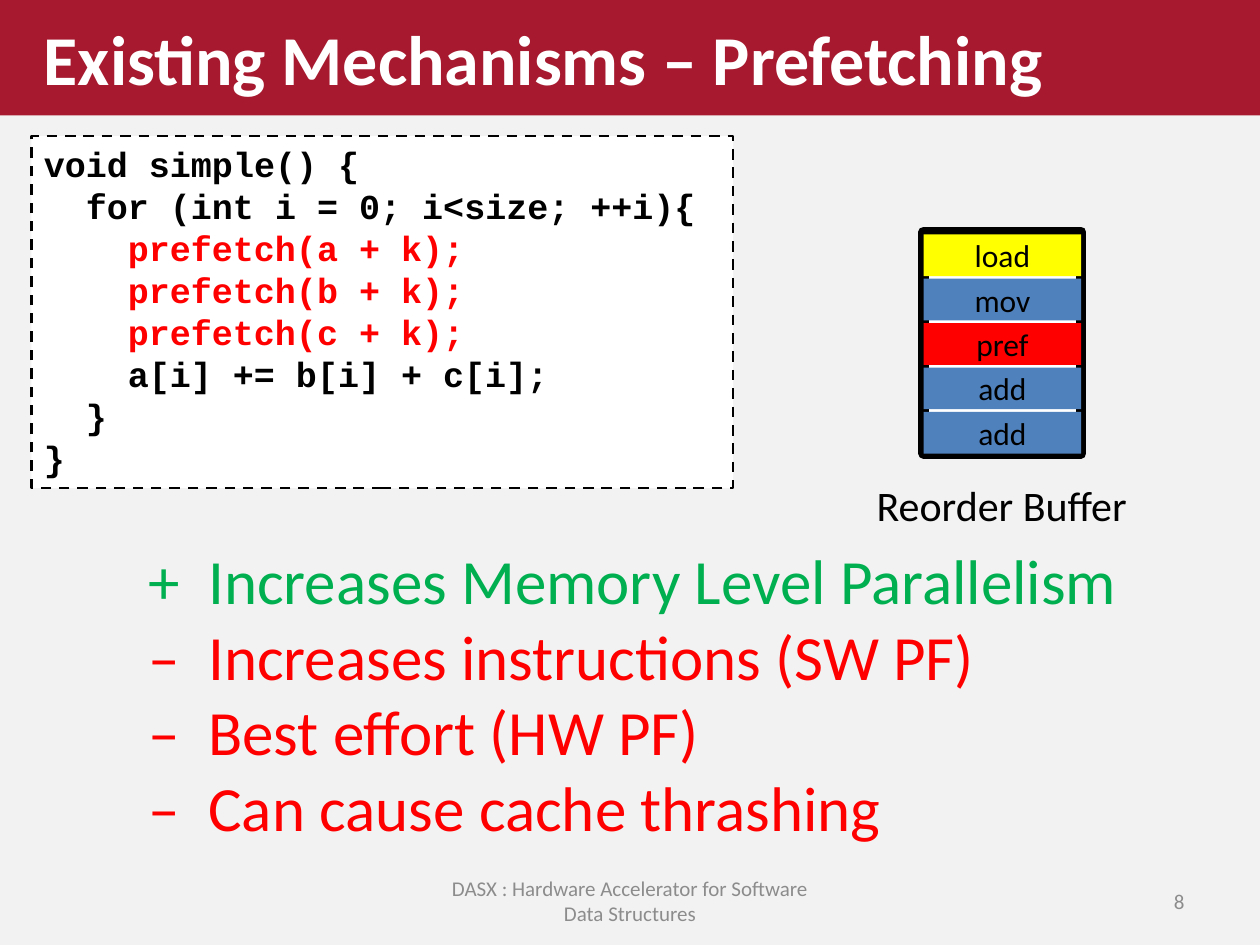
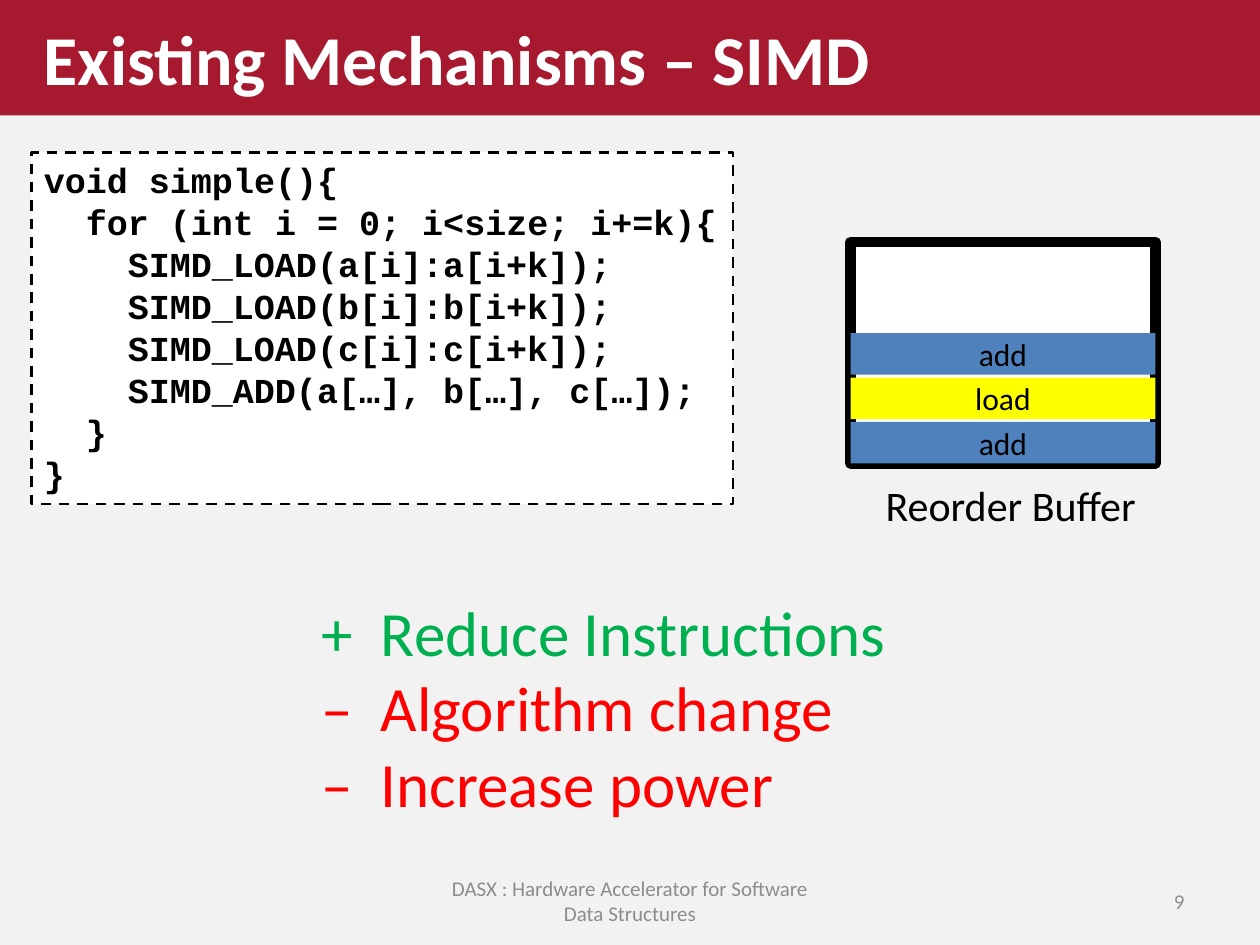
"""Build two slides on existing mechanisms: prefetching and SIMD."""
from pptx import Presentation
from pptx import util as u
from pptx.dml.color import RGBColor
from pptx.enum import dml, shapes, text

Pt = u.Pt
BACKGROUND = RGBColor(0xF2, 0xF2, 0xF2)
BAND = RGBColor(0xA6, 0x19, 0x2E)
GRAY = RGBColor(0x8C, 0x8C, 0x8C)
WHITE = RGBColor(0xFF, 0xFF, 0xFF)
BLACK = RGBColor(0, 0, 0)
GREEN = RGBColor(0x00, 0xB0, 0x50)
RED = RGBColor(0xFF, 0, 0)
BLUE = RGBColor(0x4F, 0x81, 0xBD)
YELLOW = RGBColor(0xFF, 0xFF, 0)

LEFT, CENTER, RIGHT = text.PP_ALIGN.LEFT, text.PP_ALIGN.CENTER, text.PP_ALIGN.RIGHT
TOP, MIDDLE = text.MSO_ANCHOR.TOP, text.MSO_ANCHOR.MIDDLE
FOOTER = "DASX : Hardware Accelerator for Software Data Structures"
CODE_INDENT = 24
SIGN_INDENT = 34.2
SLOT_HEIGHT, SLOT_PITCH = 23.8, 25.36
FRAME_HEIGHT = 126.7
SLOT_COLORS = {"load": YELLOW, "pref": RED, "mov": BLUE, "add": BLUE}


def add_box(page, place, fill=None, line_width=None, dash=None):
    lengths = [Pt(length) for length in place]
    if fill is None:
        box = page.shapes.add_textbox(*lengths)
    else:
        box = page.shapes.add_shape(shapes.MSO_SHAPE.RECTANGLE, *lengths)
        box.shadow.inherit = False
        box.fill.solid()
        box.fill.fore_color.rgb = fill
        if line_width:
            box.line.color.rgb = BLACK
            box.line.width = Pt(line_width)
            box.line.dash_style = dash
        else:
            box.line.fill.background()
    return box


def write(box, lines, size, align=LEFT, anchor=TOP, font="Calibri", bold=False, wrap=True):
    frame = box.text_frame
    frame.word_wrap = wrap
    frame.vertical_anchor = anchor
    for index, (words, color, margin, indent) in enumerate(lines):
        para = frame.paragraphs[0] if index == 0 else frame.add_paragraph()
        para.text = words
        para.alignment = align
        para.font.name = font
        para.font.size = Pt(size)
        para.font.bold = bold
        para.font.color.rgb = color
        properties = para._p.get_or_add_pPr()
        properties.set("marL", str(Pt(margin)))
        properties.set("indent", str(Pt(indent)))


slides = [
    {
        "title": "Existing Mechanisms – Prefetching",
        "number": "8",
        "code_top": 77.8,
        "code": [
            (0, "void simple() {"),
            (1, "for (int i = 0; i<size; ++i){"),
            (2, "prefetch(a + k);"),
            (2, "prefetch(b + k);"),
            (2, "prefetch(c + k);"),
            (2, "a[i] += b[i] + c[i];"),
            (1, "}"),
            (0, "}"),
        ],
        "points_place": (77.8, 306, 576, 181.4),
        "points": [
            ("+", "Increases Memory Level Parallelism"),
            ("–", "Increases instructions (SW PF)"),
            ("–", "Best effort (HW PF)"),
            ("–", "Can cause cache thrashing"),
        ],
        "buffer": (527.8, 132.5, 90),
        "slots": ["load", "mov", "pref", "add", "add"],
        "label_left": 493.9,
    },
    {
        "title": "Existing Mechanisms – SIMD",
        "number": "9",
        "code_top": 87.1,
        "code": [
            (0, "void simple(){"),
            (1, "for (int i = 0; i<size; i+=k){"),
            (2, "SIMD_LOAD(a[i]:a[i+k]);"),
            (2, "SIMD_LOAD(b[i]:b[i+k]);"),
            (2, "SIMD_LOAD(c[i]:c[i+k]);"),
            (2, "SIMD_ADD(a[…], b[…], c[…]);"),
            (1, "}"),
            (0, "}"),
        ],
        "points_place": (176.4, 335.5, 367.2, 138.2),
        "points": [
            ("+", "Reduce Instructions"),
            ("–", "Algorithm change"),
            ("–", "Increase power"),
        ],
        "buffer": (486, 138.2, 174.2),
        "slots": ["add", "load", "add"],
        "label_left": 499,
    },
]

deck = Presentation()
deck.slide_width, deck.slide_height = Pt(720), Pt(540)

for content in slides:
    page = deck.slides.add_slide(deck.slide_layouts[6])
    page.background.fill.solid()
    page.background.fill.fore_color.rgb = BACKGROUND

    footer = add_box(page, (246, 500.4, 228, 28.8))
    write(footer, [(FOOTER, GRAY, 0, 0)], 12, CENTER, MIDDLE)
    number = add_box(page, (516, 500.4, 168, 28.8))
    write(number, [(content["number"], GRAY, 0, 0)], 12, RIGHT, MIDDLE)
    band = add_box(page, (0, 0, 720, 66), BAND)
    write(band, [(content["title"], WHITE, 18, 0)], 40, anchor=MIDDLE, bold=True)

    points = add_box(page, content["points_place"])
    point_lines = [
        (f"{sign}\t{words}", GREEN if sign == "+" else RED, SIGN_INDENT, -SIGN_INDENT)
        for sign, words in content["points"]
    ]
    write(points, point_lines, 36)

    code = add_box(page, (18, content["code_top"], 401, 201), WHITE, 1.5, dml.MSO_LINE.DASH)
    code_lines = [
        (words, RED if words.startswith("prefetch") else BLACK, level * CODE_INDENT, 0)
        for level, words in content["code"]
    ]
    write(code, code_lines, 20, font="Courier New", bold=True)

    left, top, width = content["buffer"]
    add_box(page, (left, top, width, FRAME_HEIGHT), WHITE, 6)
    lowest = top + FRAME_HEIGHT - SLOT_HEIGHT
    for step, name in enumerate(reversed(content["slots"])):
        place = (left, lowest - step * SLOT_PITCH, width, SLOT_HEIGHT)
        slot = add_box(page, place, SLOT_COLORS[name])
        write(slot, [(name, BLACK, 0, 0)], 18, CENTER, MIDDLE)

    label = add_box(page, (content["label_left"], 270.7, 160, 36))
    write(label, [("Reorder Buffer", BLACK, 0, 0)], 24, wrap=False)

deck.save("out.pptx")
